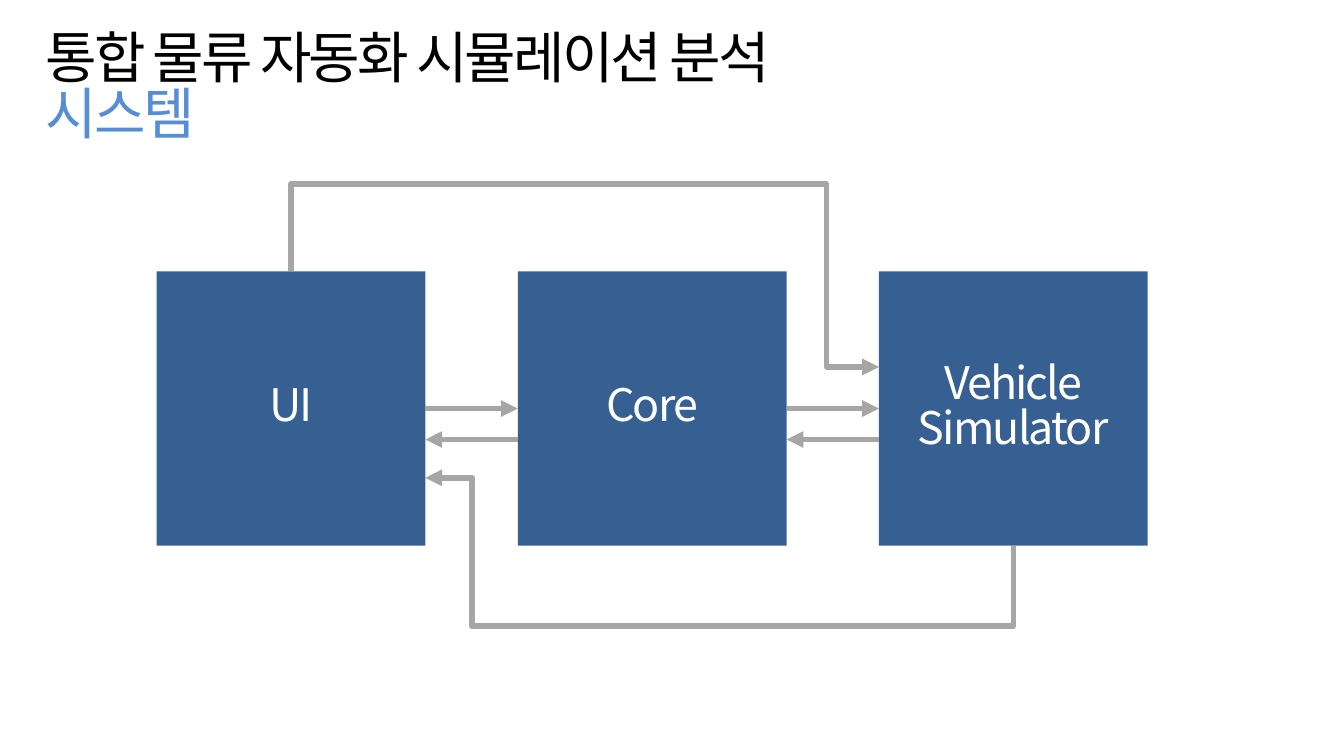
"""Build the system diagram slide of the integrated logistics simulation deck."""
from lxml.etree import SubElement
from pptx import Presentation
from pptx.dml.color import RGBColor
from pptx.enum.shapes import MSO_CONNECTOR, MSO_SHAPE
from pptx.enum.text import MSO_ANCHOR, MSO_AUTO_SIZE, PP_ALIGN
from pptx.oxml.ns import qn
from pptx.util import Inches, Pt

FONT = "Noto Sans CJK KR"
BLACK = RGBColor(0x00, 0x00, 0x00)
WHITE = RGBColor(0xFF, 0xFF, 0xFF)
SKY = RGBColor(0x55, 0x8E, 0xD5)
NAVY = RGBColor(0x37, 0x60, 0x92)
GRAY = RGBColor(0xA6, 0xA6, 0xA6)

TITLE = [("통합 물류 자동화 시뮬레이션 분석 ", BLACK), ("시스템", SKY)]
MODULES = [["UI"], ["Core"], ["Vehicle", "Simulator"]]

MODULE_LEFT, MODULE_TOP, MODULE_PITCH = 2.33, 4.04, 5.375
MODULE_WIDTH, MODULE_HEIGHT = 4, 4.08
LINE_SPACING = 0.83
REQUEST_Y, REPLY_Y = 6.08, 6.54

lefts = [MODULE_LEFT + i * MODULE_PITCH for i in range(len(MODULES))]
rights = [left + MODULE_WIDTH for left in lefts]
centers = [left + MODULE_WIDTH / 2 for left in lefts]
module_bottom = MODULE_TOP + MODULE_HEIGHT

DETOURS = [
    {"start": (centers[0], MODULE_TOP), "end": (lefts[2], 5.46), "turn": (12.3, 2.74), "rotation": 270},
    {"start": (centers[2], module_bottom), "end": (rights[0], 7.11), "turn": (7.02, 9.32), "rotation": 90},
]


def add_run(paragraph, text, size, color, spacing):
    run = paragraph.add_run()
    run.text = text
    for key, value in {"name": FONT, "size": Pt(size)}.items():
        setattr(run.font, key, value)
    run.font.color.rgb = color
    properties = run._r.get_or_add_rPr()
    properties.set("spc", str(spacing * 100))
    SubElement(properties, qn("a:ea"), typeface=FONT)


def format_frame(frame, **formats):
    common = {"word_wrap": True, "auto_size": MSO_AUTO_SIZE.NONE}
    for key, value in {**common, **formats}.items():
        setattr(frame, key, value)


def add_title(slide):
    title = slide.shapes.title
    box = {"left": 0.58, "top": 0.46, "width": 12.92, "height": 1.11}
    for key, value in box.items():
        setattr(title, key, Inches(value))
    format_frame(title.text_frame, vertical_anchor=MSO_ANCHOR.TOP)
    heading = title.text_frame.paragraphs[0]
    heading.alignment, heading.line_spacing = PP_ALIGN.LEFT, LINE_SPACING
    for text, color in TITLE:
        add_run(heading, text, 60, color, -3)


def add_module(slide, left, lines):
    module = slide.shapes.add_shape(
        MSO_SHAPE.RECTANGLE, Inches(left), Inches(MODULE_TOP), Inches(MODULE_WIDTH), Inches(MODULE_HEIGHT))
    module.shadow.inherit = False
    module.fill.solid()
    module.fill.fore_color.rgb = NAVY
    module.line.fill.background()
    frame = module.text_frame
    format_frame(frame, vertical_anchor=MSO_ANCHOR.MIDDLE)
    for i, line in enumerate(lines):
        paragraph = frame.add_paragraph() if i else frame.paragraphs[0]
        paragraph.alignment, paragraph.line_spacing = PP_ALIGN.CENTER, LINE_SPACING
        add_run(paragraph, line, 48, WHITE, -2)


def add_arrow(slide, kind, start, end):
    arrow = slide.shapes.add_connector(kind, *[Inches(v) for v in (*start, *end)])
    arrow.line.color.rgb = GRAY
    arrow.line.width = Pt(6)
    outline = arrow.line._get_or_add_ln()
    SubElement(outline, qn("a:round"))
    SubElement(outline, qn("a:tailEnd"), type="triangle")
    SubElement(arrow._element.spPr, qn("a:effectLst"))
    return arrow


def add_detour(slide, start, end, turn, rotation):
    across, down = end[0] - start[0], end[1] - start[1]
    center_x, center_y = (start[0] + end[0]) / 2, (start[1] + end[1]) / 2
    half_width, half_height = abs(down) / 2, abs(across) / 2
    arrow = add_arrow(slide, MSO_CONNECTOR.ELBOW,
                      (center_x + half_width, center_y - half_height),
                      (center_x - half_width, center_y + half_height))
    properties = arrow._element.spPr
    properties.find(qn("a:xfrm")).set("rot", str(rotation * 60000))
    geometry = properties.find(qn("a:prstGeom"))
    geometry.set("prst", "bentConnector4")
    guides = geometry.find(qn("a:avLst"))
    if guides is None:
        guides = SubElement(geometry, qn("a:avLst"))
    ratios = {"adj1": (turn[1] - start[1]) / down, "adj2": (turn[0] - start[0]) / across}
    for name, ratio in ratios.items():
        SubElement(guides, qn("a:gd"), name=name, fmla=f"val {round(ratio * 100000)}")


def main():
    deck = Presentation()
    deck.slide_width, deck.slide_height = Inches(20), Inches(11.25)
    slide = deck.slides.add_slide(deck.slide_layouts[5])
    add_title(slide)
    for left, lines in zip(lefts, MODULES):
        add_module(slide, left, lines)
    for right, next_left in zip(rights, lefts[1:]):
        add_arrow(slide, MSO_CONNECTOR.STRAIGHT, (right, REQUEST_Y), (next_left, REQUEST_Y))
        add_arrow(slide, MSO_CONNECTOR.STRAIGHT, (next_left, REPLY_Y), (right, REPLY_Y))
    for detour in DETOURS:
        add_detour(slide, **detour)
    deck.save("out.pptx")


if __name__ == "__main__":
    main()
